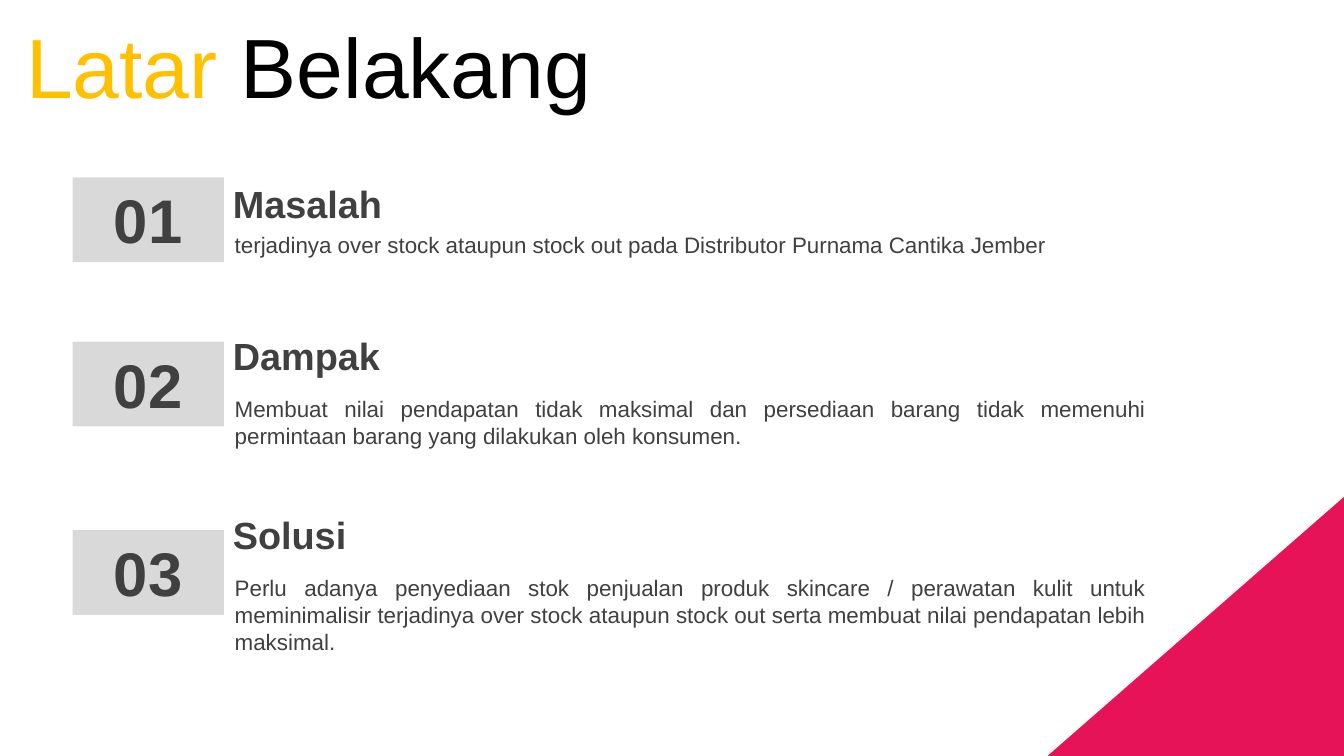
"""Build the "Latar Belakang" slide with three numbered points."""
from pptx import Presentation, util as u
from pptx.dml.color import RGBColor
from pptx.enum import shapes, text

AMBER = RGBColor(0xFF, 0xC0, 0x00)
BLACK = RGBColor(0x00, 0x00, 0x00)
CRIMSON = RGBColor(0xE6, 0x13, 0x58)
GREY = RGBColor(0xD9, 0xD9, 0xD9)
CHARCOAL = RGBColor(0x40, 0x40, 0x40)

POINTS = [
    ("Masalah", 1.74, 2.24, 0.37, 1.76,
     "terjadinya over stock ataupun stock out pada Distributor Purnama Cantika Jember"),
    ("Dampak", 3.25, 3.87, 0.64, 3.39,
     "Membuat nilai pendapatan tidak maksimal dan persediaan barang tidak memenuhi "
     "permintaan barang yang dilakukan oleh konsumen."),
    ("Solusi", 5.03, 5.65, 0.91, 5.26,
     "Perlu adanya penyediaan stok penjualan produk skincare / perawatan kulit untuk "
     "meminimalisir terjadinya over stock ataupun stock out serta membuat nilai "
     "pendapatan lebih maksimal."),
]


class SlideBuilder:
    """Hold the text style and the current slide."""

    def __init__(self, slide, font="Arial", color=CHARCOAL):
        self.slide = slide
        self.font = font
        self.color = color

    def label(self, shape, words, size, align, bold=False, side=0.1):
        frame = shape.text_frame
        frame.word_wrap = True
        frame.auto_size = text.MSO_AUTO_SIZE.SHAPE_TO_FIT_TEXT
        frame.vertical_anchor = text.MSO_ANCHOR.TOP
        frame.margin_left = frame.margin_right = u.Inches(side)
        paragraph = frame.paragraphs[0]
        paragraph.alignment = align
        paragraph.font.name = self.font
        paragraph.font.size = u.Pt(size)
        paragraph.font.bold = bold
        paragraph.font.color.rgb = self.color
        paragraph.add_run().text = words

    def title(self, parts, box):
        frame = self.slide.shapes.add_textbox(*map(u.Inches, box)).text_frame
        frame.word_wrap = True
        frame.auto_size = text.MSO_AUTO_SIZE.SHAPE_TO_FIT_TEXT
        frame.vertical_anchor = text.MSO_ANCHOR.MIDDLE
        paragraph = frame.paragraphs[0]
        paragraph.alignment = text.PP_ALIGN.JUSTIFY
        paragraph.line_spacing = u.Pt(54)
        paragraph.font.name = self.font
        paragraph.font.size = u.Pt(60)
        for words, color in parts:
            run = paragraph.add_run()
            run.text = words
            run.font.color.rgb = color

    def block(self, parent, kind, box, color):
        block = parent.add_shape(kind, *map(u.Inches, box))
        block.shadow.inherit = False
        block.fill.solid()
        block.fill.fore_color.rgb = color
        block.line.fill.background()
        return block

    def corner(self, box, color):
        corner = self.block(self.slide.shapes, shapes.MSO_SHAPE.RIGHT_TRIANGLE, box, color)
        corner._element.spPr.xfrm.set("flipH", "1")

    def point(self, number, heading, heading_top, body_top, body_height, badge_top, body):
        group = self.slide.shapes.add_group_shape().shapes
        body_box = group.add_textbox(*map(u.Inches, (2.23, body_top, 9.23, body_height)))
        self.label(body_box, body, 16, text.PP_ALIGN.JUSTIFY)
        heading_box = group.add_textbox(*map(u.Inches, (2.19, heading_top, 9.23, 0.56)))
        self.label(heading_box, heading, 27, text.PP_ALIGN.LEFT, True, 0.12)
        badge = self.block(group, shapes.MSO_SHAPE.RECTANGLE, (0.72, badge_top, 1.5, 0.84), GREY)
        self.label(badge, f"{number:02}", 44, text.PP_ALIGN.CENTER, True, 0.12)


def main():
    deck = Presentation()
    deck.slide_width = u.Inches(13.33)
    deck.slide_height = u.Inches(7.5)
    builder = SlideBuilder(deck.slides.add_slide(deck.slide_layouts[6]))
    builder.title([("Latar ", AMBER), ("Belakang", BLACK)], (0.16, 0.34, 5.82, 0.86))
    builder.corner((10.39, 4.93, 2.94, 2.57), CRIMSON)
    for number, point in enumerate(POINTS, 1):
        builder.point(number, *point)
    deck.save("out.pptx")


if __name__ == "__main__":
    main()
